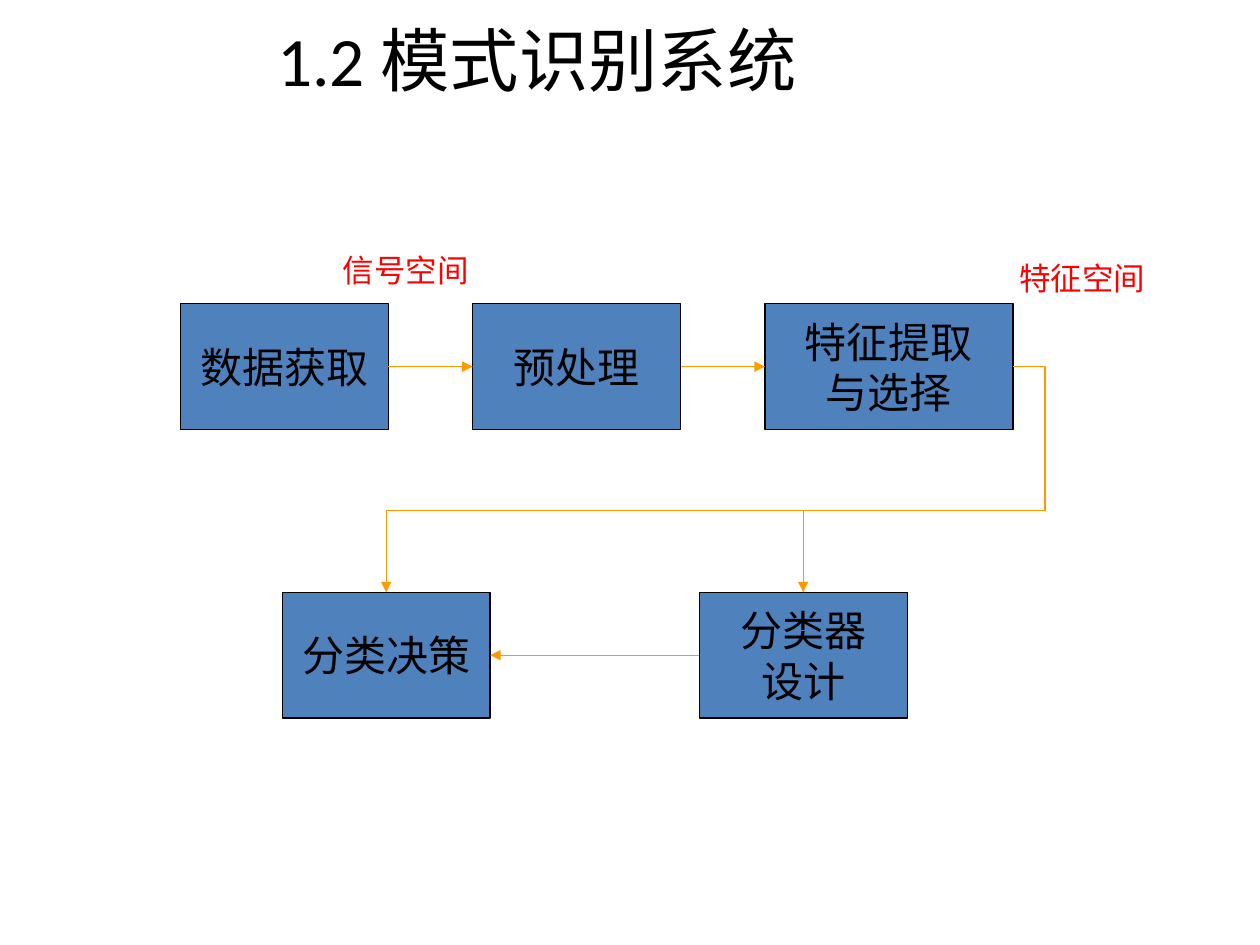
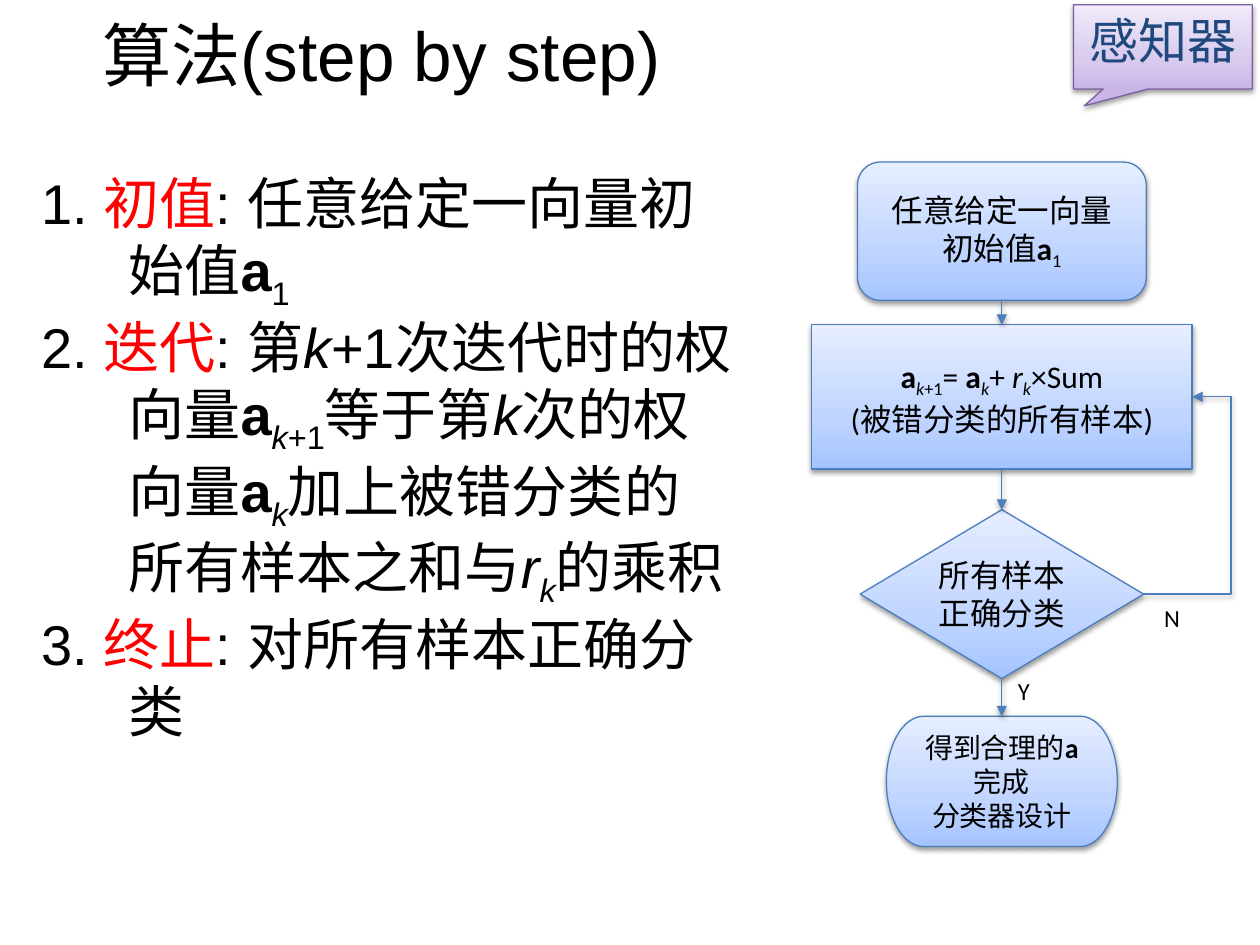
import copy

import pptx
import pptx.dml.color
import pptx.enum.shapes
import pptx.enum.text
import pptx.oxml
import pptx.oxml.ns
import pptx.util

Pt = pptx.util.Pt
qn = pptx.oxml.ns.qn
RGBColor = pptx.dml.color.RGBColor
SHAPE = pptx.enum.shapes.MSO_SHAPE
CONNECTOR = pptx.enum.shapes.MSO_CONNECTOR
ALIGN = pptx.enum.text.PP_ALIGN
ANCHOR = pptx.enum.text.MSO_ANCHOR
FIT = pptx.enum.text.MSO_AUTO_SIZE

BLACK = RGBColor(0x00, 0x00, 0x00)
RED = RGBColor(0xFF, 0x00, 0x00)
ORANGE = RGBColor(0xFF, 0x99, 0x00)
BOX_BLUE = RGBColor(0x4F, 0x81, 0xBD)
LINE_BLUE = RGBColor(0x4B, 0x7E, 0xBC)
NAVY = RGBColor(0x1F, 0x49, 0x7D)
PURPLE = RGBColor(0x7D, 0x60, 0xA0)
BLUE_FADE = (RGBColor(0xA4, 0xC4, 0xFF), RGBColor(0xBF, 0xD4, 0xFF), RGBColor(0xE6, 0xEE, 0xFF))
PURPLE_FADE = (RGBColor(0xC9, 0xB5, 0xE8), RGBColor(0xD8, 0xCB, 0xEE), RGBColor(0xF0, 0xEA, 0xF9))
FADE_POSITIONS = (0, 0.35, 1)

TOP, LEFT, BOTTOM, RIGHT = range(4)

STEPS = (
    (("1. ", ""), ("初值", "red"), (": 任意给定一向量初始值", ""), ("a", "bold"), ("1", "sub")),
    (("2. ", ""), ("迭代", "red"), (": 第", ""), ("k", "italic"), ("+1次迭代时的权向量", ""),
     ("a", "bold"), ("k", "italic sub"), ("+1", "sub"), ("等于第", ""), ("k", "italic"),
     ("次的权向量", ""), ("a", "bold"), ("k", "italic sub"),
     ("加上被错分类的所有样本之和与", ""), ("r", "italic"), ("k", "italic sub"), ("的乘积", "")),
    (("3. ", ""), ("终止", "red"), (": 对所有样本正确分类", "")),
)
START = (("任意给定一向量\n初始值", ""), ("a", "bold"), ("1", "sub"))
UPDATE = (("a", "bold"), ("k", "italic sub"), ("+1", "sub"), ("= ", ""), ("a", "bold"),
          ("k", "italic sub"), ("+ ", ""), ("r", "italic"), ("k", "italic sub"),
          ("×Sum\n(被错分类的所有样本)", ""))
FINISH = (("得到合理的", ""), ("a\n", "bold"), ("完成\n分类器设计", ""))


def write(paragraph, runs, size, color=BLACK, font="Calibri"):
    """Add styled runs, given as text or as (text, style words) pairs."""
    for text, style in ((runs, ""),) if isinstance(runs, str) else runs:
        for number, line in enumerate(text.split("\n")):
            if number:
                paragraph.add_line_break()
            if not line:
                continue
            run = paragraph.add_run()
            run.text = line
            run.font.name, run.font.size = font, Pt(size)
            run.font.color.rgb = RED if "red" in style else color
            run.font.bold = "bold" in style
            run.font.italic = "italic" in style
            if "sub" in style:
                run.font._element.set("baseline", "-25000")


def set_effects(properties, shadowed):
    """Replace the theme shadow by a soft one or by none."""
    effects = properties.find(qn("a:effectLst"))
    if effects is None:
        effects = properties.makeelement(qn("a:effectLst"), {})
        properties.append(effects)
    if shadowed:
        effects.append(pptx.oxml.parse_xml(
            f'<a:outerShdw {pptx.oxml.ns.nsdecls("a")} blurRad="{Pt(3.1)}" dist="{Pt(1.6)}" '
            'dir="5400000" rotWithShape="0"><a:srgbClr val="000000">'
            '<a:alpha val="38000"/></a:srgbClr></a:outerShdw>'))


def fade(fill, properties, colors):
    """Fill from bottom to top through three colours."""
    fill.gradient()
    fill.gradient_angle = 90
    stops = properties.find(".//" + qn("a:gsLst"))
    stops.insert(1, copy.deepcopy(stops[0]))
    for stop, color, position in zip(fill.gradient_stops, colors, FADE_POSITIONS):
        stop.color.rgb = color
        stop.position = position


def add_node(slide, kind, box, runs, size, fill, line, color=BLACK):
    """Draw a labelled shape with a plain fill, or a faded fill and a shadow."""
    node = slide.shapes.add_shape(kind, *map(Pt, box))
    faded = isinstance(fill, tuple) and not isinstance(fill, RGBColor)
    if faded:
        fade(node.fill, node._element.spPr, fill)
    else:
        node.fill.solid()
        node.fill.fore_color.rgb = fill
    node.line.color.rgb = line
    node.line.width = Pt(0.75)
    node.shadow.inherit = False
    set_effects(node._element.spPr, faded)
    frame = node.text_frame
    frame.word_wrap = False
    frame.vertical_anchor = ANCHOR.MIDDLE
    frame.paragraphs[0].alignment = ALIGN.CENTER
    write(frame.paragraphs[0], runs, size, color)
    return node


def add_label(slide, box, text, size, color=BLACK, wrap=True):
    """Add a short caption."""
    frame = slide.shapes.add_textbox(*map(Pt, box)).text_frame
    frame.word_wrap = wrap
    frame.auto_size = FIT.SHAPE_TO_FIT_TEXT
    write(frame.paragraphs[0], text, size, color)


def add_arrow(slide, source, source_side, target, target_side, color, turn=None, shadowed=False):
    """Join two nodes, bending at turn x and, if given, turn y."""
    kind = CONNECTOR.ELBOW if turn else CONNECTOR.STRAIGHT
    arrow = slide.shapes.add_connector(kind, 0, 0, 0, 0)
    arrow.begin_connect(source, source_side)
    arrow.end_connect(target, target_side)
    arrow.line.color.rgb = color
    arrow.line.width = Pt(0.75)
    properties = arrow._element.spPr
    line = properties.find(qn("a:ln"))
    line.append(line.makeelement(qn("a:tailEnd"), {"type": "triangle"}))
    set_effects(properties, shadowed)
    if turn:
        geometry = properties.find(qn("a:prstGeom"))
        geometry.set("prst", f"bentConnector{len(turn) + 2}")
        guides = geometry.find(qn("a:avLst"))
        spans = ((arrow.begin_x, arrow.end_x), (arrow.begin_y, arrow.end_y))
        for number, (bend, (begin, end)) in enumerate(zip(turn, spans), 1):
            ratio = round((Pt(bend) - begin) / (end - begin) * 100000)
            guides.append(guides.makeelement(
                qn("a:gd"), {"name": f"adj{number}", "fmla": f"val {ratio}"}))


def add_titled_slide(deck, box, text, font):
    """Add a slide and set its title."""
    slide = deck.slides.add_slide(deck.slide_layouts[5])
    title = slide.shapes.title
    title.left, title.top, title.width, title.height = map(Pt, box)
    title.text_frame.vertical_anchor = ANCHOR.MIDDLE
    title.text_frame.paragraphs[0].alignment = ALIGN.CENTER
    write(title.text_frame.paragraphs[0], text, 39.6, font=font)
    return slide


def add_system_diagram(slide, left, top):
    """Draw the two rows of the recognition system."""
    width, height, gap, lower = 118.8, 72, 48.2, 164.9

    def stage(x, y, text, stage_width=width):
        return add_node(slide, SHAPE.RECTANGLE, (left + x, top + y, stage_width, height),
                        text, 24, BOX_BLUE, BLACK)

    acquire = stage(0, 0, "数据获取")
    prepare = stage(width + gap, 0, "预处理")
    extract = stage(2 * (width + gap), 0, "特征提取\n与选择", 141.8)
    decide = stage(58.2, lower, "分类决策")
    design = stage(296.5, lower, "分类器\n设计")
    add_arrow(slide, prepare, RIGHT, extract, LEFT, ORANGE)
    add_arrow(slide, acquire, RIGHT, prepare, LEFT, ORANGE)
    for target in (design, decide):
        add_arrow(slide, extract, RIGHT, target, TOP, ORANGE, (left + 494, top + 118.2))
    add_arrow(slide, design, LEFT, decide, RIGHT, ORANGE)
    add_label(slide, (left + 85.6, top - 33.8, 103.7, 29.1), "信号空间", 18, RED)
    add_label(slide, (left + 472.3, top - 28.8, 103.7, 29.1), "特征空间", 18, RED)


def add_steps(slide, box):
    """Write the numbered steps with hanging indents."""
    frame = slide.shapes.add_textbox(*map(Pt, box)).text_frame
    frame.word_wrap = True
    frame.auto_size = FIT.SHAPE_TO_FIT_TEXT
    for number, step in enumerate(STEPS):
        paragraph = frame.add_paragraph() if number else frame.paragraphs[0]
        indents = paragraph._p.get_or_add_pPr()
        indents.set("marL", str(Pt(49.7)))
        indents.set("indent", str(-Pt(49.7)))
        write(paragraph, step, 32, font="Arial")


def add_flowchart(slide, left, top, width):
    """Draw the training loop, centred in its column."""
    center = left + width / 2

    def node(kind, y, node_width, height, runs, size=18):
        box = (center - node_width / 2, top + y, node_width, height)
        return add_node(slide, kind, box, runs, size, BLUE_FADE, LINE_BLUE)

    start = node(SHAPE.ROUNDED_RECTANGLE, 0, 165, 79, START)
    update = node(SHAPE.RECTANGLE, 93, 217.6, 82.4, UPDATE)
    check = node(SHAPE.FLOWCHART_DECISION, 198.7, 162, 96.5, "所有样本\n正确分类")
    finish = node(SHAPE.FLOWCHART_TERMINATOR, 316.7, 132, 74.5, FINISH, 16)
    add_label(slide, (left + 194.4, top + 248.4, 23.8, 24.5), "N", 14, wrap=False)
    add_label(slide, (left + 110.9, top + 290.2, 21.6, 24.5), "Y", 14, wrap=False)
    for source, target in ((start, update), (update, check), (check, finish)):
        add_arrow(slide, source, BOTTOM, target, TOP, LINE_BLUE, shadowed=True)
    add_arrow(slide, check, RIGHT, update, RIGHT, LINE_BLUE, (left + 239.8,), shadowed=True)


def add_topic_callout(slide, box):
    """Add the topic in a speech callout."""
    callout = add_node(slide, SHAPE.RECTANGULAR_CALLOUT, box, "感知器", 28,
                       PURPLE_FADE, PURPLE, NAVY)
    callout.adjustments[0], callout.adjustments[1] = -0.44, 0.7
    callout.text_frame.word_wrap = True
    callout.text_frame.vertical_anchor = ANCHOR.TOP


def main():
    """Build both slides and save the deck."""
    deck = pptx.Presentation()
    deck.slide_width, deck.slide_height = Pt(720), Pt(540)

    system = add_titled_slide(deck, (11.5, 11.5, 590.4, 44.6), "1.2 模式识别系统", "Calibri")
    add_system_diagram(system, 103.1, 173.5)

    algorithm = add_titled_slide(deck, (31, 5.8, 373.7, 50.4), "算法(step by step)", "Arial")
    add_steps(algorithm, (16.6, 92.9, 410.4, 356.4))
    add_flowchart(algorithm, 463.7, 92.6, 217.6)
    add_topic_callout(algorithm, (613.4, 2.7, 102.2, 48.2))

    deck.save("out.pptx")


if __name__ == "__main__":
    main()
